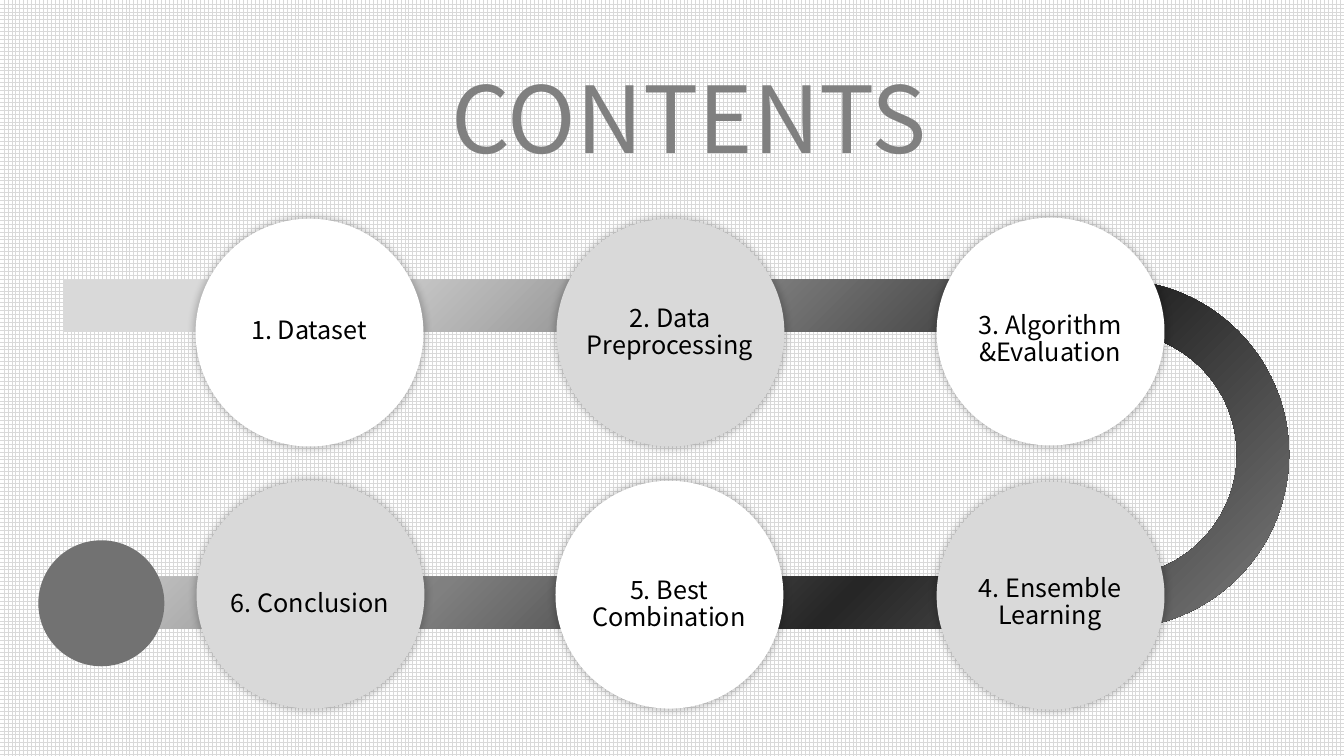
from lxml.etree import SubElement
from pptx import Presentation
from pptx.dml.color import RGBColor
from pptx.enum.dml import MSO_PATTERN as Pattern
from pptx.enum.shapes import MSO_SHAPE as Shape
from pptx.enum.text import MSO_ANCHOR as Anchor, MSO_AUTO_SIZE as Fit, PP_ALIGN as Align
from pptx.oxml.ns import qn
from pptx.util import Inches, Pt


def rgb(code):
    return RGBColor.from_string(code)


class Deck:
    """Holds the style and the current slide, and draws each kind of element."""

    font = "Noto Sans CJK KR"
    black, white, light, gray = "000000", "FFFFFF", "D9D9D9", "727272"

    def __init__(self):
        self.prs = Presentation()
        self.prs.slide_width, self.prs.slide_height = Inches(13.33), Inches(7.5)
        self.slide = self.prs.slides.add_slide(self.prs.slide_layouts[5])
        self.shapes = self.slide.shapes

    def grid(self):
        fill = self.slide.background.fill
        fill.patterned()
        fill.pattern = Pattern.LARGE_GRID
        fill.fore_color.rgb = rgb(self.light)
        fill.back_color.rgb = rgb(self.white)

    def blend(self, fill, owner, stops, angle=None):
        fill.gradient()
        grad = owner.find(".//" + qn("a:gradFill"))
        for child in list(grad):
            grad.remove(child)
        row = SubElement(grad, qn("a:gsLst"))
        for pos, code in stops:
            stop = SubElement(row, qn("a:gs"), pos=str(pos * 1000))
            SubElement(stop, qn("a:srgbClr"), val=code)
        if angle is None:
            track = SubElement(grad, qn("a:path"), path="circle")
            SubElement(track, qn("a:fillToRect"), r="100000", b="100000")
        else:
            SubElement(grad, qn("a:lin"), ang=str(angle * 60000), scaled="0")

    def label(self, frame, lines, size, anchor):
        frame.word_wrap = True
        frame.auto_size = Fit.NONE
        frame.vertical_anchor = anchor
        frame.text = "\n".join(lines)
        for para in frame.paragraphs:
            para.alignment = Align.CENTER
            para.line_spacing = 0.9
            para.font.name = self.font
            para.font.size = Pt(size)
            para.font.color.rgb = rgb(self.black)

    def title(self, text, left, top, width, height, stops):
        head = self.shapes.title
        head.left, head.top = Inches(left), Inches(top)
        head.width, head.height = Inches(width), Inches(height)
        self.label(head.text_frame, [text], 66, Anchor.BOTTOM)
        run = head.text_frame.paragraphs[0].runs[0]
        self.blend(run.font.fill, run._r, stops)

    def road(self, left, top, width, height, ratios, stops):
        road = self.shapes.add_shape(Shape.U_TURN_ARROW, Inches(left), Inches(top),
                                     Inches(width), Inches(height))
        road.rotation = 90
        for i, ratio in enumerate(ratios):
            road.adjustments[i] = ratio
        road.shadow.inherit = False
        road.line.fill.background()
        self.blend(road.fill, road.element, stops, 315)

    def disc(self, home, left, top, size, color):
        disc = home.add_shape(Shape.OVAL, Inches(left), Inches(top), Inches(size), Inches(size))
        disc.fill.solid()
        disc.fill.fore_color.rgb = rgb(color)
        disc.line.fill.background()
        disc.shadow.inherit = False
        return disc

    def glow(self, disc):
        effects = disc.element.spPr.find(qn("a:effectLst"))
        shade = SubElement(effects, qn("a:outerShdw"), blurRad=str(int(Pt(5))), sx="102000",
                           sy="102000", algn="ctr", rotWithShape="0")
        color = SubElement(shade, qn("a:srgbClr"), val=self.black)
        SubElement(color, qn("a:alpha"), val="20000")

    def step(self, left, top, drop, color, lines):
        home = self.shapes.add_group_shape().shapes
        self.glow(self.disc(home, left, top, 2.26, color))
        box = home.add_textbox(Inches(left - 0.11), Inches(top + drop), Inches(2.47), Inches(0.88))
        self.label(box.text_frame, lines, 18, Anchor.MIDDLE)


def main():
    deck = Deck()
    deck.grid()
    deck.road(4.88, -1.48, 3.65, 12.16, (0.142, 0.122, 0.219, 0.491, 1),
              [(16, "D9D9D9"), (43, "808080"), (69, "262626"), (100, "808080")])
    deck.title("CONTENTS", 3.3, 0.4, 7.07, 1.37,
               [(0, "0D0D0D"), (74, "808080"), (83, "BFBFBF"), (100, "595959")])
    steps = [
        (1.94, 2.17, 0.68, ["1. Dataset"]),
        (5.52, 2.17, 0.69, ["2. Data", "Preprocessing"]),
        (9.29, 2.16, 0.77, ["3. Algorithm", "&Evaluation"]),
        (9.29, 4.78, 0.76, ["4. Ensemble", "Learning"]),
        (5.51, 4.77, 0.79, ["5. Best Combination"]),
        (1.95, 4.77, 0.79, ["6. Conclusion"]),
    ]
    for i, (left, top, drop, lines) in enumerate(steps):
        deck.step(left, top, drop, (deck.white, deck.light)[i % 2], lines)
    deck.disc(deck.shapes, 0.38, 5.36, 1.25, deck.gray)
    deck.prs.save("out.pptx")


if __name__ == "__main__":
    main()
